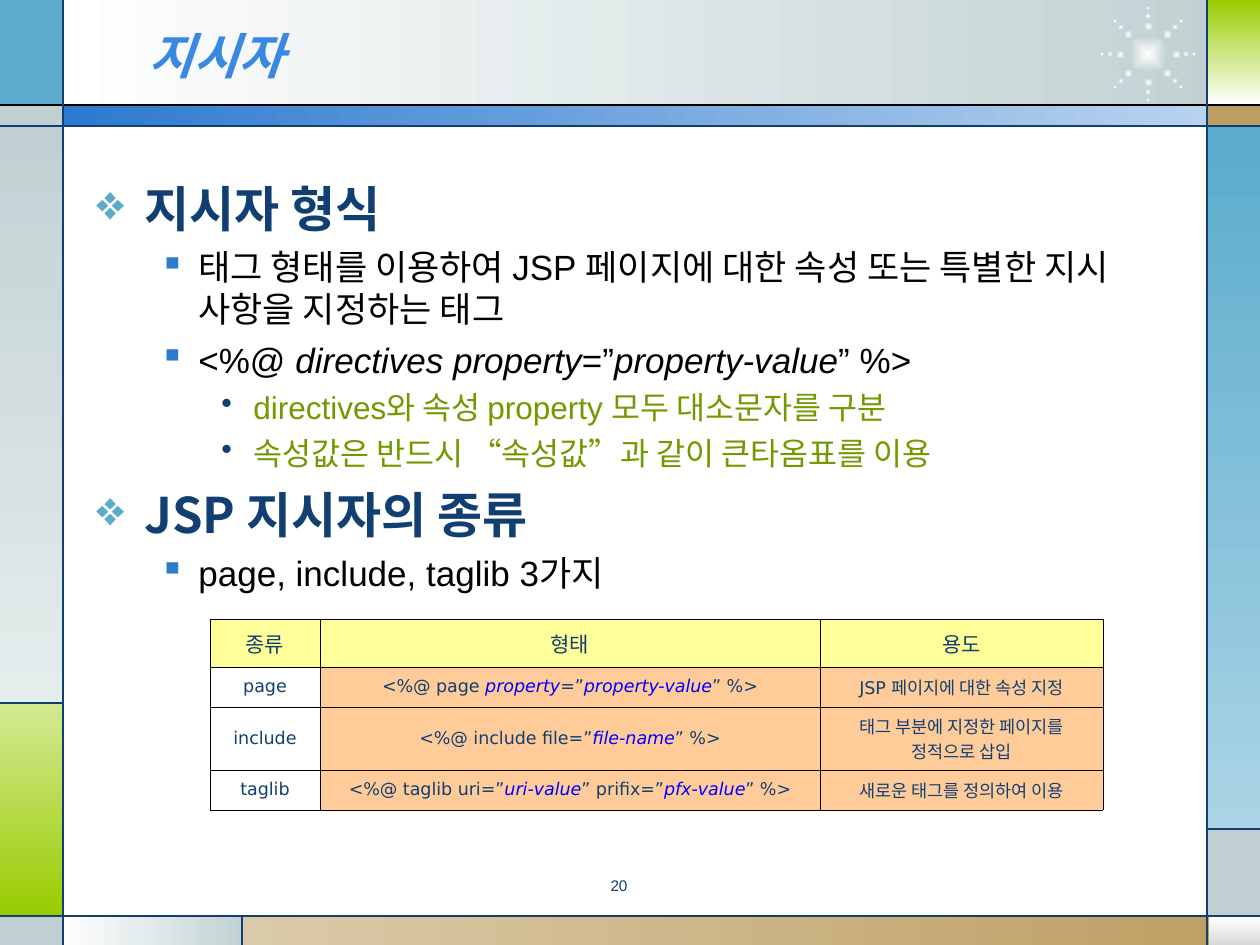
"""Builds the slide on JSP directives with its framed background, outline and table."""
from math import cos, radians, sin

from lxml.etree import SubElement
from pptx import Presentation
from pptx.dml.color import RGBColor
from pptx.enum.shapes import MSO_CONNECTOR, MSO_SHAPE
from pptx.enum.text import MSO_ANCHOR, PP_ALIGN
from pptx.oxml.ns import qn
from pptx.util import Emu, Pt

SCALE = 914400 / 126
NOTO, ARIAL, DEJAVU = "Noto Sans CJK KR", "Arial", "DejaVu Sans"
COLORS = {
    "white": "FFFFFF", "black": "000000", "navy": "113F71", "title": "3989E1",
    "blue": "2D7ACF", "pale_blue": "B9D3EF", "teal": "5AABCC", "pale_teal": "AAD4E5",
    "mist": "C1D1D3", "pale_mist": "E5ECEC", "silver": "D8D8D8", "lime": "99CC00",
    "pale_lime": "D4E993", "tan": "BD9E61", "pale_tan": "DBCAA9", "olive": "739900",
    "value": "0000FF", "yellow": "FFFF99", "peach": "FFCC99",
}
PANELS = [
    (63, 0, 1168, 106, ("white", "mist"), 0),
    (0, 0, 63, 106, ("teal",), 0),
    (0, 105, 63, 21, ("mist",), 0),
    (0, 126, 63, 577, ("mist", "pale_mist"), 90),
    (0, 703, 63, 213, ("pale_lime", "lime"), 90),
    (0, 917, 63, 28, ("mist",), 0),
    (63, 916, 180, 29, ("white", "mist"), 0),
    (242, 916, 1018, 29, ("pale_tan", "tan"), 0),
    (1209, 917, 51, 28, ("white", "silver"), 90),
    (1208, 829, 52, 88, ("mist",), 0),
    (1207, 126, 53, 703, ("teal", "pale_teal"), 90),
    (1207, 105, 53, 21, ("tan",), 0),
    (1208, 0, 52, 105, ("lime", "white"), 90),
    (63, 105, 1145, 21, ("blue", "pale_blue"), 0),
]
LINES = [
    (0, 105, 1260, 105, "black"), (0, 126, 1260, 126, "navy"),
    (0, 916, 1260, 916, "navy"), (63, 0, 63, 945, "navy"),
    (1207, 0, 1207, 945, "navy"), (63, 703, 0, 703, "navy"),
    (242, 916, 242, 945, "navy"), (1207, 829, 1260, 829, "navy"),
]
LEVELS = [
    dict(margin=48, hang=48, before=7, bullet="❖", bullet_color="teal",
         size=28, font=NOTO, color="navy", bold=True),
    dict(margin=102, hang=39, before=5, bullet="▪", bullet_color="blue",
         size=20, font=ARIAL, color="black", bold=False),
    dict(margin=157, hang=32, before=4.5, bullet="•", bullet_color="navy",
         size=18, font=ARIAL, color="olive", bold=False),
]
OUTLINE = [
    (0, "지시자 형식"),
    (1, "태그 형태를 이용하여 JSP 페이지에 대한 속성 또는 특별한 지시 사항을 지정하는 태그"),
    (1, "<%@ *directives property*=”*property-value*” %>"),
    (2, "directives와 속성 property 모두 대소문자를 구분"),
    (2, "속성값은 반드시 “속성값”과 같이 큰타옴표를 이용"),
    (0, "JSP 지시자의 종류"),
    (1, "page, include, taglib 3가지"),
]
DIRECTIVES = [
    ("종류", "형태", "용도"),
    ("page", "<%@ page *property*=”*property-value*” %>", "JSP 페이지에 대한 속성 지정"),
    ("include", "<%@ include file=”*file-name*” %>", "태그 부분에 지정한 페이지를 정적으로 삽입"),
    ("taglib", "<%@ taglib uri=”*uri-value*” prifix=”*pfx-value*” %>", "새로운 태그를 정의하여 이용"),
]


def px(n):
    return Emu(round(n * SCALE))


def rgb(name):
    return RGBColor.from_string(COLORS[name])


class Deck:
    def __init__(self):
        self.prs = Presentation()
        self.prs.slide_width, self.prs.slide_height = px(1260), px(945)
        self.s = self.prs.slides.add_slide(self.prs.slide_layouts[6])

    def shape(self, kind, x, y, w, h, colors, angle=0):
        sp = self.s.shapes.add_shape(kind, px(x), px(y), px(w), px(h))
        sp.shadow.inherit = False
        sp.line.fill.background()
        if len(colors) == 1:
            sp.fill.solid()
            sp.fill.fore_color.rgb = rgb(colors[0])
        else:
            sp.fill.gradient()
            sp.fill.gradient_angle = (360 - angle) % 360
            for stop, name in zip(sp.fill.gradient_stops, colors):
                stop.color.rgb = rgb(name)
        return sp

    def dot(self, cx, cy, size):
        left, top = round(cx - size / 2), round(cy - size / 2)
        sp = self.shape(MSO_SHAPE.OVAL, left, top, size, size, ("white", "mist"))
        grad = sp.element.spPr.find(qn("a:gradFill"))
        grad.remove(grad.find(qn("a:lin")))
        path = SubElement(grad, qn("a:path"), path="rect")
        SubElement(path, qn("a:fillToRect"), dict.fromkeys("ltrb", "50000"))

    def sunburst(self, cx, cy):
        self.dot(cx, cy, 38)
        for turn in range(0, 360, 45):
            for radius, size in ((28, 9), (38, 6), (46, 4)):
                self.dot(cx + radius * cos(radians(turn)), cy + radius * sin(radians(turn)), size)

    def line(self, x1, y1, x2, y2, color):
        cn = self.s.shapes.add_connector(MSO_CONNECTOR.STRAIGHT, px(x1), px(y1), px(x2), px(y2))
        cn.line.color.rgb = rgb(color)
        cn.line.width = Pt(0.75)
        SubElement(cn.element.spPr, qn("a:effectLst"))

    def runs(self, p, text, size, font, color, bold=False, italic=False, accent=None):
        for i, part in enumerate(text.split("*")):
            if not part:
                continue
            r = p.add_run()
            r.text = part
            f = r.font
            f.size, f.name, f.bold = Pt(size), font, bold
            f.italic = italic or i % 2 == 1
            f.color.rgb = rgb(accent if accent and i % 2 else color)
            SubElement(r.font._element, qn("a:ea"), typeface=NOTO)

    def box(self, x, y, w, h, anchor=MSO_ANCHOR.TOP):
        tf = self.s.shapes.add_textbox(px(x), px(y), px(w), px(h)).text_frame
        tf.word_wrap = True
        tf.vertical_anchor = anchor
        return tf

    def outline(self, x, y, w, h, items):
        tf = self.box(x, y, w, h)
        for i, (level, text) in enumerate(items):
            st = LEVELS[level]
            p = tf.add_paragraph() if i else tf.paragraphs[0]
            pPr = p._p.get_or_add_pPr()
            pPr.set("marL", str(px(st["margin"])))
            pPr.set("indent", str(-px(st["hang"])))
            clr = SubElement(pPr, qn("a:buClr"))
            SubElement(clr, qn("a:srgbClr"), val=COLORS[st["bullet_color"]])
            SubElement(pPr, qn("a:buChar"), char=st["bullet"])
            p.level = level
            p.line_spacing = Pt(st["size"] * 1.2)
            if i:
                p.space_before = Pt(st["before"])
            self.runs(p, text, st["size"], st["font"], st["color"], st["bold"])

    def cell(self, cell, text, size, fill):
        cell.margin_left = cell.margin_right = px(9)
        cell.margin_top = cell.margin_bottom = px(6)
        cell.vertical_anchor = MSO_ANCHOR.MIDDLE
        tcPr = cell._tc.get_or_add_tcPr()
        for side in "LRTB":
            ln = SubElement(tcPr, qn(f"a:ln{side}"), w=str(Pt(0.45)))
            SubElement(SubElement(ln, qn("a:solidFill")), qn("a:srgbClr"), val=COLORS["black"])
        if fill:
            cell.fill.solid()
            cell.fill.fore_color.rgb = rgb(fill)
        else:
            cell.fill.background()
        p = cell.text_frame.paragraphs[0]
        p.alignment = PP_ALIGN.CENTER
        self.runs(p, text, size, DEJAVU, "navy", accent="value")

    def table(self, x, y, widths, heights, rows):
        tbl = self.s.shapes.add_table(len(rows), len(widths), px(x), px(y),
                                      px(sum(widths)), px(sum(heights))).table
        tbl.first_row = tbl.horz_banding = False
        for col, w in zip(tbl.columns, widths):
            col.width = px(w)
        for i, (row, h) in enumerate(zip(rows, heights)):
            tbl.rows[i].height = px(h)
            for j, text in enumerate(row):
                fill = "yellow" if i == 0 else "peach" if j else None
                self.cell(tbl.cell(i, j), text, 10 if i else 12, fill)


def main():
    deck = Deck()
    for *rect, colors, angle in PANELS:
        deck.shape(MSO_SHAPE.RECTANGLE, *rect, colors, angle)
    deck.sunburst(1148, 54)
    for line in LINES:
        deck.line(*line)
    title = deck.box(136, 16, 924, 78, MSO_ANCHOR.MIDDLE).paragraphs[0]
    deck.runs(title, "지시자", 28, NOTO, "title", bold=True, italic=True)
    deck.outline(84, 172, 1105, 678, OUTLINE)
    deck.table(210, 619, (110, 500, 283), (48, 40, 63, 40), DIRECTIVES)
    number = deck.box(472, 873, 294, 34).paragraphs[0]
    number.alignment = PP_ALIGN.CENTER
    number.line_spacing = 0.8
    deck.runs(number, "20", 8.8, ARIAL, "navy")
    deck.prs.save("out.pptx")


if __name__ == "__main__":
    main()
